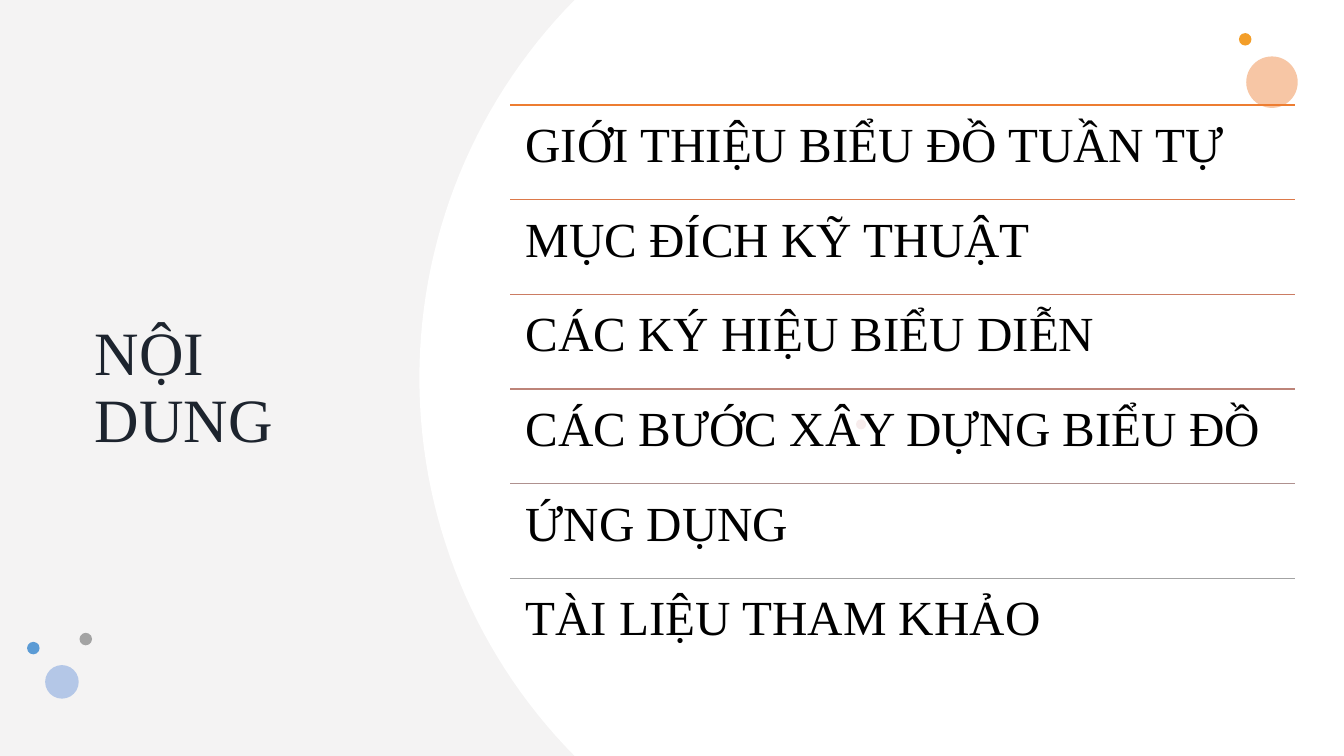
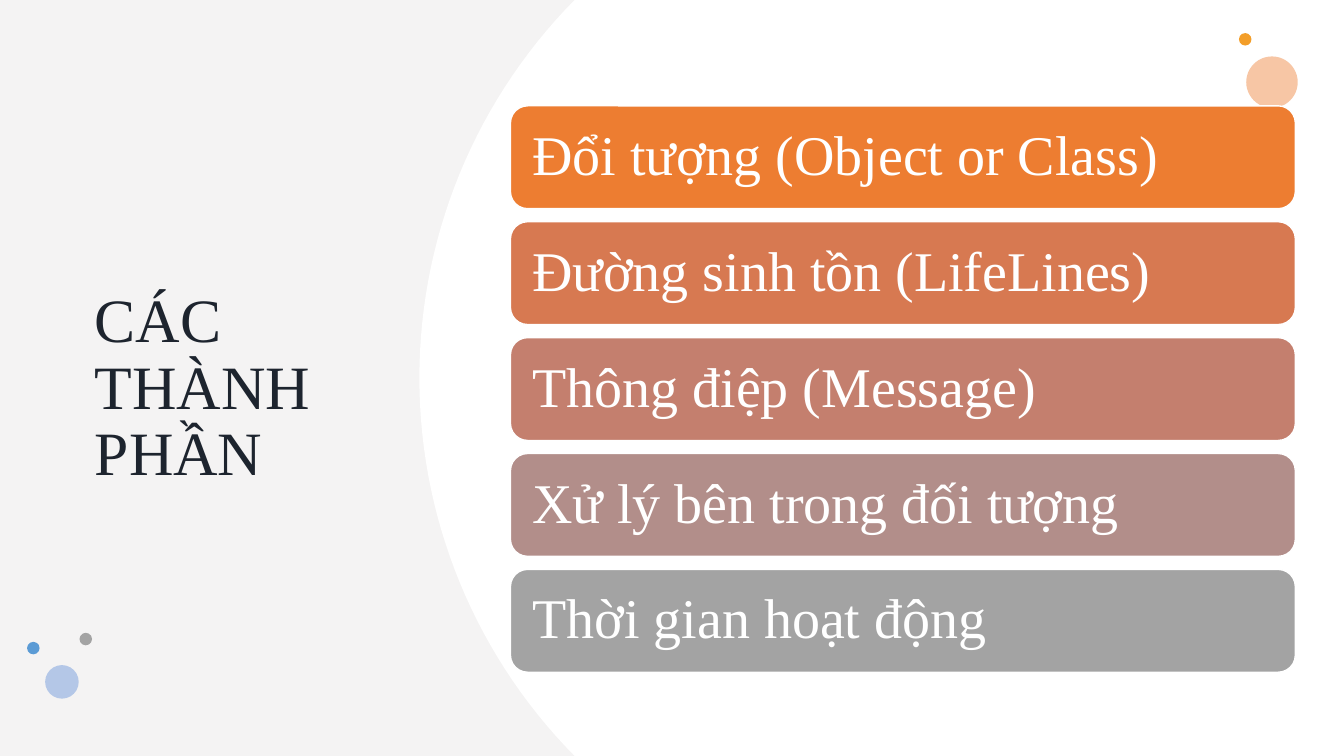
import math
from dataclasses import dataclass

import lxml.etree
import pptx
import pptx.dml.color
import pptx.enum.shapes
import pptx.enum.text
import pptx.oxml.ns
import pptx.util

SHAPES = pptx.enum.shapes.MSO_SHAPE
ANCHOR = pptx.enum.text.MSO_ANCHOR
SLIDE_WIDTH = pptx.util.Inches(13.33)
SLIDE_HEIGHT = pptx.util.Inches(7.5)
TITLE_ONLY_LAYOUT = 5


@dataclass(frozen=True)
class Theme:
    """Colours, font and type sizes shared by the slides."""
    font: str = "Times New Roman"
    title_size: int = 44
    agenda_size: int = 35
    card_size: int = 40
    line_width: int = 1
    line_spacing: float = 0.9
    background: str = "F4F3F3"
    white: str = "FFFFFF"
    black: str = "000000"
    title: str = "1D242E"
    agenda_rules: tuple = ("ED7D31", "DC794A", "CB7C63", "BD8479", "AF918F", "A3A3A3")
    cards: tuple = ("ED7D31", "D77951", "C47F6E", "B28E8A", "A3A3A3")


THEME = Theme()

# Lengths are percentages of the slide's width (columns) and height (rows).
TITLE_BOX = (6.3, 13.87, 23.48, 75.2)
LIST_LEFT, LIST_WIDTH = 37.98, 58.4
AGENDA_TOP, AGENDA_PITCH = 13.87, 12.53
CARD_TOP, CARD_PITCH, CARD_HEIGHT = 14, 15.33, 13.6

# Centre column, centre row, diameter in columns, colour, opacity.
DOTS = (
    (94.64, 10.87, 3.83, "F4B183", 72),
    (92.65, 5.2, 0.93, "F39E29", 100),
    (6.38, 84.53, 0.93, "A3A3A3", 100),
    (4.61, 90.2, 2.5, "B4C7E7", 100),
    (2.48, 85.73, 0.93, "5B9BD5", 100),
)
PINK_DOT = (64.07, 56.13, 0.75, "E3BEBE", 28)

AGENDA = (
    "GIỚI THIỆU BIỂU ĐỒ TUẦN TỰ",
    "MỤC ĐÍCH KỸ THUẬT",
    "CÁC KÝ HIỆU BIỂU DIỄN",
    "CÁC BƯỚC XÂY DỰNG BIỂU ĐỒ",
    "ỨNG DỤNG",
    "TÀI LIỆU THAM KHẢO",
)
COMPONENTS = (
    "Đổi tượng (Object or Class)",
    "Đường sinh tồn (LifeLines)",
    "Thông điệp (Message)",
    "Xử lý bên trong đối tượng",
    "Thời gian hoạt động",
)


def across(columns):
    """Turn a percentage of the slide's width into a length."""
    return round(SLIDE_WIDTH * columns / 100)


def down(rows):
    """Turn a percentage of the slide's height into a length."""
    return round(SLIDE_HEIGHT * rows / 100)


def box(left, top, width, height):
    """Turn a box given in percentages into lengths."""
    return across(left), down(top), across(width), down(height)


def color(value):
    """Return the RGB colour for a hex string."""
    return pptx.dml.color.RGBColor.from_string(value)


def paint(shape, fill, opacity=100, line=None):
    """Give a shape a flat fill, an optional outline and no shadow."""
    shape.shadow.inherit = False
    shape.fill.solid()
    shape.fill.fore_color.rgb = color(fill)
    if opacity < 100:
        tag = pptx.oxml.ns.qn("a:srgbClr")
        for node in shape.fill._xPr.iter(tag):
            alpha = lxml.etree.SubElement(node, pptx.oxml.ns.qn("a:alpha"))
            alpha.set("val", str(opacity * 1000))
    if line:
        shape.line.color.rgb = color(line)
        shape.line.width = pptx.util.Pt(THEME.line_width)
    else:
        shape.line.fill.background()


def write(shape, text, size, text_color, anchor, inset=None):
    """Set a shape's left-aligned text and format it."""
    frame = shape.text_frame
    frame.text = text
    frame.word_wrap = True
    frame.auto_size = pptx.enum.text.MSO_AUTO_SIZE.NONE
    frame.vertical_anchor = anchor
    if inset is not None:
        margin = pptx.util.Inches(inset)
        frame.margin_left = frame.margin_right = margin
        frame.margin_top = frame.margin_bottom = margin
    paragraph = frame.paragraphs[0]
    paragraph.alignment = pptx.enum.text.PP_ALIGN.LEFT
    paragraph.line_spacing = THEME.line_spacing
    font = paragraph.runs[0].font
    font.name = THEME.font
    font.size = pptx.util.Pt(size)
    font.color.rgb = color(text_color)


def add_curved_panel(slide):
    """Draw the white panel whose left edge is a circular arc."""
    middle = SLIDE_HEIGHT / 2
    edge = pptx.util.Inches(4.16)
    bulge = pptx.util.Inches(1.54)
    radius = (middle ** 2 + bulge ** 2) / (2 * bulge)
    half_angle = math.asin(middle / radius)
    steps = 60
    arc = []
    for step in range(steps + 1):
        angle = half_angle * (1 - 2 * step / steps)
        arc.append((edge + radius * (1 - math.cos(angle)),
                    middle + radius * math.sin(angle)))
    builder = slide.shapes.build_freeform(SLIDE_WIDTH, 0)
    builder.add_line_segments([(SLIDE_WIDTH, SLIDE_HEIGHT), *arc], close=True)
    paint(builder.convert_to_shape(), THEME.white)


def add_dot(slide, column, row, diameter, fill, opacity):
    """Draw a round dot about its centre."""
    size = across(diameter)
    dot = slide.shapes.add_shape(
        SHAPES.OVAL, across(column) - size // 2, down(row) - size // 2, size, size)
    paint(dot, fill, opacity)


def add_rule(slide, row, line_color):
    """Draw a horizontal line over the list's width."""
    rule = slide.shapes.add_connector(
        pptx.enum.shapes.MSO_CONNECTOR.STRAIGHT,
        across(LIST_LEFT), down(row), across(LIST_LEFT + LIST_WIDTH), down(row))
    rule.line.color.rgb = color(line_color)
    rule.line.width = pptx.util.Pt(THEME.line_width)
    lxml.etree.SubElement(rule._element.spPr, pptx.oxml.ns.qn("a:effectLst"))


def add_agenda(slide, entries):
    """Stack the entries, each below its own rule."""
    for index, (entry, rule_color) in enumerate(zip(entries, THEME.agenda_rules)):
        row = AGENDA_TOP + index * AGENDA_PITCH
        add_rule(slide, row, rule_color)
        label = slide.shapes.add_textbox(*box(LIST_LEFT, row, LIST_WIDTH, AGENDA_PITCH))
        write(label, entry, THEME.agenda_size, THEME.black, ANCHOR.TOP, 0.15)


def add_cards(slide, entries):
    """Stack the entries as rounded cards."""
    for index, (entry, fill) in enumerate(zip(entries, THEME.cards)):
        row = CARD_TOP + index * CARD_PITCH
        card = slide.shapes.add_shape(
            SHAPES.ROUNDED_RECTANGLE, *box(LIST_LEFT, row, LIST_WIDTH, CARD_HEIGHT))
        paint(card, fill, line=THEME.white)
        write(card, entry, THEME.card_size, THEME.white, ANCHOR.MIDDLE, 0.17)


def add_slide(presentation, title, dots):
    """Add a slide with the shared background, panel, dots and title."""
    slide = presentation.slides.add_slide(presentation.slide_layouts[TITLE_ONLY_LAYOUT])
    slide.background.fill.solid()
    slide.background.fill.fore_color.rgb = color(THEME.background)
    add_curved_panel(slide)
    for dot in dots:
        add_dot(slide, *dot)
    heading = slide.shapes.title
    heading.left, heading.top, heading.width, heading.height = box(*TITLE_BOX)
    write(heading, title, THEME.title_size, THEME.title, ANCHOR.MIDDLE)
    return slide


def main():
    """Build and save the presentation."""
    presentation = pptx.Presentation()
    presentation.slide_width = SLIDE_WIDTH
    presentation.slide_height = SLIDE_HEIGHT
    add_agenda(add_slide(presentation, "NỘI DUNG", (*DOTS, PINK_DOT)), AGENDA)
    add_cards(add_slide(presentation, "CÁC THÀNH PHẦN", DOTS), COMPONENTS)
    presentation.save("out.pptx")


main()
